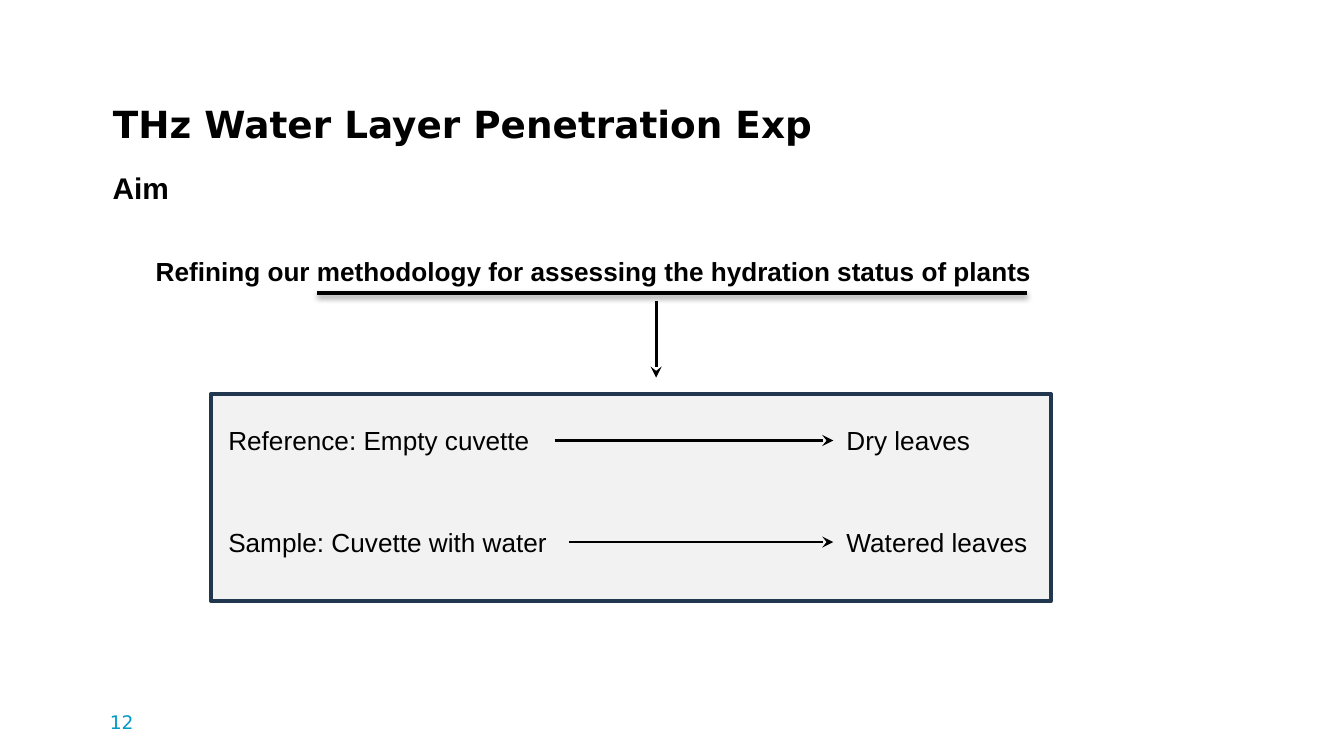
from lxml import etree
from pptx import Presentation
from pptx.dml.color import RGBColor
from pptx.enum.shapes import MSO_CONNECTOR as Connector, MSO_SHAPE as Shape
from pptx.enum.text import MSO_ANCHOR as Anchor, PP_ALIGN as Align
from pptx.oxml.ns import qn
from pptx.util import Pt

COLORS = {"text": "000000", "panel": "F2F2F2", "border": "21364F", "number": "009AC7"}
SANS, HEADING = "Arial", "DejaVu Sans"

# Content
TITLE = "THz Water Layer Penetration Exp"
AIM = "Aim"
GOAL = "Refining our methodology for assessing the hydration status of plants"
PAGE_NUMBER = "12"
# label, width of its box, what it stands for
PAIRS = [
    ("Reference: Empty cuvette", 182, "Dry leaves"),
    ("Sample: Cuvette with water", 189.5, "Watered leaves"),
]

# Layout of the pairs
PANEL = (113, 211, 450, 111)
LABEL_LEFT, RESULT_LEFT, RESULT_WIDTH = 115.2, 446.4, 119
FIRST_ROW, ROW_STEP, ROW_HEIGHT = 223.9, 54.4, 24.2


def color(name):
    return RGBColor.from_string(COLORS[name])


def fill_text(box, text, size, font=SANS, bold=False, ink="text", inset=3.6):
    frame = box.text_frame
    frame.word_wrap = True
    frame.margin_left = frame.margin_right = Pt(7.2)
    frame.margin_top = frame.margin_bottom = Pt(inset)
    frame.text = text
    para = frame.paragraphs[0]
    para.alignment = Align.LEFT
    style = para.runs[0].font
    style.name, style.size, style.bold = font, Pt(size), bold
    style.color.rgb = color(ink)


def add_text(place, text, size, **style):
    box = page.shapes.add_textbox(*map(Pt, place))
    fill_text(box, text, size, **style)


def add_line(start, end, width, arrow=False, shadow=False):
    line = page.shapes.add_connector(Connector.STRAIGHT, *map(Pt, start + end))
    line.line.color.rgb = color("text")
    line.line.width = Pt(width)
    if arrow:
        etree.SubElement(line.line._get_or_add_ln(), qn("a:tailEnd"), type="stealth")
    effects = etree.SubElement(line._element.spPr, qn("a:effectLst"))
    if shadow:
        outer = etree.SubElement(effects, qn("a:outerShdw"), blurRad=str(Pt(3.1)),
                                 dist=str(Pt(1.6)), dir="5400000", rotWithShape="0")
        ink = etree.SubElement(outer, qn("a:srgbClr"), val=COLORS["text"])
        etree.SubElement(ink, qn("a:alpha"), val="38000")


deck = Presentation()
deck.slide_width, deck.slide_height = Pt(720), Pt(405)
page = deck.slides.add_slide(deck.slide_layouts[5])

# Title and headings
title = page.shapes.title
title.left, title.top, title.width, title.height = map(Pt, (53.3, 40.3, 632.2, 42.5))
fill_text(title, TITLE, 20, font=HEADING, bold=True)
title.text_frame.vertical_anchor = Anchor.MIDDLE
title.text_frame.paragraphs[0].line_spacing = 1.41
add_text((53.3, 83.5, 397.4, 36), AIM, 16, bold=True, inset=7.2)
add_text((76.3, 133.2, 488.9, ROW_HEIGHT), GOAL, 14, bold=True)

# Underline and arrow down to the panel
add_line((170, 157), (550, 157), 2, shadow=True)
add_line((351.5, 161.3), (351.5, 202.3), 1.5, arrow=True)

# Panel
panel = page.shapes.add_shape(Shape.RECTANGLE, *map(Pt, PANEL))
panel.shadow.inherit = False
panel.fill.solid()
panel.fill.fore_color.rgb = color("panel")
panel.line.color.rgb = color("border")
panel.line.width = Pt(2)

# Each label points to what it stands for
for row, (label, width, result) in enumerate(PAIRS):
    top = FIRST_ROW + row * ROW_STEP
    middle = top + ROW_HEIGHT / 2
    add_text((LABEL_LEFT, top, width, ROW_HEIGHT), label, 14)
    add_line((LABEL_LEFT + width, middle), (RESULT_LEFT, middle), 1.5, arrow=True)
    add_text((RESULT_LEFT, top, RESULT_WIDTH, ROW_HEIGHT), result, 14)

# Page number
add_text((51.8, 377.3, 50.4, 28), PAGE_NUMBER, 10, font=HEADING, ink="number")

deck.save("out.pptx")
